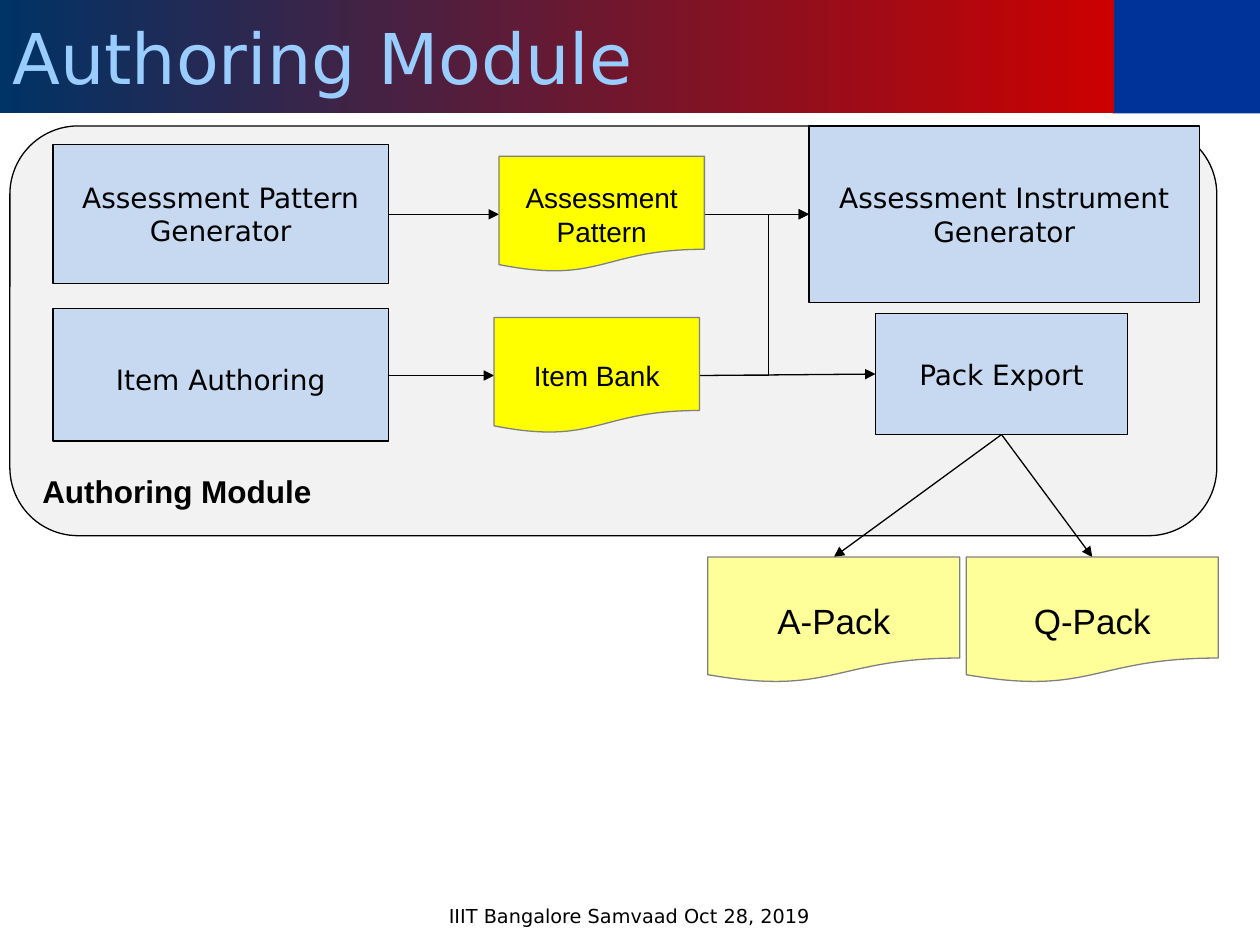
from lxml import etree
from pptx import Presentation
from pptx import util as u
from pptx.dml.color import RGBColor
from pptx.enum import shapes, text
from pptx.oxml import ns

BLACK = RGBColor(0x00, 0x00, 0x00)
GRAY = RGBColor(0x80, 0x80, 0x80)
PALE = RGBColor(0xF2, 0xF2, 0xF2)
NAVY = RGBColor(0x00, 0x33, 0x66)
RED = RGBColor(0xCC, 0x00, 0x00)
BLUE = RGBColor(0x00, 0x33, 0x99)
SKY = RGBColor(0x99, 0xCC, 0xFF)
STEEL = RGBColor(0xC6, 0xD9, 0xF1)
YELLOW = RGBColor(0xFF, 0xFF, 0x00)
CREAM = RGBColor(0xFF, 0xFF, 0x99)
SANS = "DejaVu Sans"
KIND = shapes.MSO_SHAPE
LINK = shapes.MSO_CONNECTOR
MID = text.PP_ALIGN.CENTER
LEFT = text.PP_ALIGN.LEFT

deck = Presentation()
deck.slide_width, deck.slide_height = u.Cm(25.4), u.Cm(19.05)
slide = deck.slides.add_slide(deck.slide_layouts[6])


def draw(kind, area, fill, edge=None):
    shape = slide.shapes.add_shape(kind, *map(u.Cm, area))
    shape.shadow.inherit = False
    shape.fill.solid()
    shape.fill.fore_color.rgb = fill
    if edge is None:
        shape.line.fill.background()
    else:
        shape.line.color.rgb = edge
        shape.line.width = u.Pt(0.75)
    return shape


def write(shape, words, size, face, align=MID, color=BLACK, bold=False):
    frame = shape.text_frame
    frame.word_wrap = True
    frame.text = words
    for para in frame.paragraphs:
        para.alignment = align
        for run in para.runs:
            run.font.size = u.Pt(size)
            run.font.name = face
            run.font.bold = bold
            run.font.color.rgb = color
    return frame


draw(KIND.RECTANGLE, (22.43, 0, 2.97, 2.29), BLUE)

panel = draw(KIND.ROUNDED_RECTANGLE, (0.2, 2.54, 24.33, 8.26), PALE, BLACK)
frame = write(panel, "Authoring Module", 18, "Arial", LEFT, bold=True)
frame.vertical_anchor = text.MSO_ANCHOR.BOTTOM

title = draw(KIND.RECTANGLE, (0, 0, 22.45, 2.29), NAVY)
title.fill.gradient()
title.fill.gradient_angle = 0
for stop, color in zip(title.fill.gradient_stops, (NAVY, RED)):
    stop.color.rgb = color
frame = write(title, "Authoring Module", 40, SANS, LEFT, SKY)
frame.vertical_anchor = text.MSO_ANCHOR.MIDDLE

boxes = [
    ("Assessment Pattern\nGenerator", (1.07, 2.92, 6.76, 2.79)),
    ("Assessment Instrument\nGenerator", (16.31, 2.54, 7.87, 3.56)),
    ("Pack Export", (17.65, 6.32, 5.08, 2.44)),
    ("Item Authoring", (1.07, 6.22, 6.76, 2.67)),
]
for words, area in boxes:
    box = draw(KIND.RECTANGLE, area, STEEL, BLACK)
    frame = write(box, words, 16, SANS)
    frame.vertical_anchor = text.MSO_ANCHOR.MIDDLE
frame.margin_top = u.Cm(0.3)

links = [
    (LINK.STRAIGHT, 7.82, 4.32, 10.06, 4.32),
    (LINK.STRAIGHT, 14.2, 4.32, 16.31, 4.32),
    (LINK.STRAIGHT, 7.82, 7.57, 9.96, 7.57),
    (LINK.STRAIGHT, 14.08, 7.57, 17.65, 7.54),
    (LINK.ELBOW, 14.68, 7.57, 16.31, 4.32),
    (LINK.STRAIGHT, 20.19, 8.76, 16.81, 11.23),
    (LINK.STRAIGHT, 20.19, 8.76, 22.02, 11.23),
]
for kind, *ends in links:
    link = slide.shapes.add_connector(kind, *map(u.Cm, ends))
    link.line.color.rgb = BLACK
    link.line.width = u.Pt(0.75)
    props = link._element.spPr
    line = props.find(ns.qn("a:ln"))
    etree.SubElement(line, ns.qn("a:tailEnd"), type="triangle")
    etree.SubElement(props, ns.qn("a:effectLst"))

docs = [
    ("Assessment Pattern", (10.06, 3.15, 4.14, 2.34), YELLOW, 16),
    ("Item Bank", (9.96, 6.4, 4.14, 2.34), YELLOW, 16),
    ("A-Pack", (14.27, 11.23, 5.08, 2.54), CREAM, 20),
    ("Q-Pack", (19.48, 11.23, 5.08, 2.54), CREAM, 20),
]
for words, area, fill, size in docs:
    doc = draw(KIND.FLOWCHART_DOCUMENT, area, fill, GRAY)
    frame = write(doc, words, size, "Arial")
    frame.vertical_anchor = text.MSO_ANCHOR.MIDDLE
    frame.margin_top = u.Cm(0.2 * area[3])
    frame.margin_bottom = 0

foot = slide.shapes.add_textbox(*map(u.Cm, (7.19, 18.11, 11, 0.56)))
write(foot, "IIIT Bangalore Samvaad Oct 28, 2019", 11, SANS)

deck.save("out.pptx")
